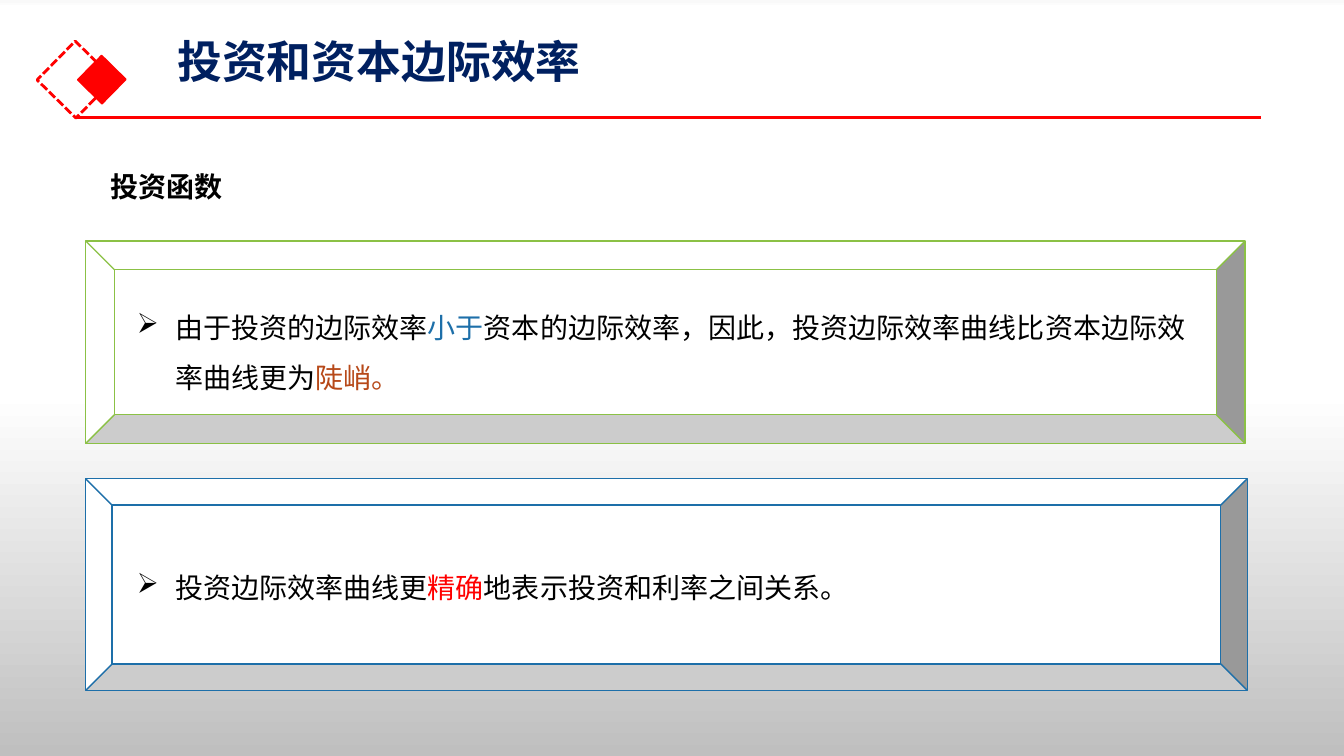
from lxml import etree
from pptx import Presentation
from pptx import util as u
from pptx.dml.color import RGBColor
from pptx.enum import dml, shapes, text
from pptx.oxml.ns import qn

FONT = "Noto Sans CJK SC"
BLACK, WHITE, RED = "000000", "FFFFFF", "FF0000"
NAVY, BLUE, GREEN, RUST = "002060", "1D6FA9", "8BC145", "B74919"


def rgb(color):
    return RGBColor.from_string(color)


def place(left, top, width, height):
    return [u.Inches(length) for length in (left, top, width, height)]


def set_background(slide, stops):
    """Fill the background from top to bottom with (percent, colour) stops."""
    fill = slide.background.fill
    fill.gradient()
    fill.gradient_angle = 270
    stop_list = next(slide.background._cSld.iter(qn("a:gsLst")))
    for stop in list(stop_list):
        stop_list.remove(stop)
    for percent, color in stops:
        stop = etree.SubElement(stop_list, qn("a:gs"), pos=str(percent * 1000))
        etree.SubElement(stop, qn("a:srgbClr"), val=color)


def add_outlined(slide, kind, box, line, weight, fill=None):
    outlined = slide.shapes.add_shape(kind, *place(*box))
    outlined.shadow.inherit = False
    if fill:
        outlined.fill.solid()
        outlined.fill.fore_color.rgb = rgb(fill)
    else:
        outlined.fill.background()
    outlined.line.color.rgb = rgb(line)
    outlined.line.width = u.Pt(weight)
    return outlined


def add_tilted_square(slide, left, top, side, weight, fill=None):
    square = add_outlined(slide, shapes.MSO_SHAPE.RECTANGLE,
                          (left, top, side, side), RED, weight, fill)
    square.rotation = 314.5
    return square


def add_rule(slide, left, right, y):
    rule = slide.shapes.add_connector(shapes.MSO_CONNECTOR.STRAIGHT, u.Inches(left),
                                      u.Inches(y), u.Inches(right), u.Inches(y))
    rule.line.color.rgb = rgb(RED)
    rule.line.width = u.Pt(2.25)
    etree.SubElement(rule._element.spPr, qn("a:effectLst"))


def add_text(slide, box, parts, size=20, bold=False, spacing=1.0, wrap=True):
    """Add one paragraph made of (wording, colour) parts."""
    frame = slide.shapes.add_textbox(*place(*box)).text_frame
    frame.word_wrap = wrap
    paragraph = frame.paragraphs[0]
    paragraph.line_spacing = spacing
    paragraph.font.size = u.Pt(size)
    paragraph.font.bold = bold
    paragraph.font.name = FONT
    etree.SubElement(paragraph.font._element, qn("a:ea"), typeface=FONT)
    for wording, color in parts:
        run = paragraph.add_run()
        run.text = wording
        run.font.color.rgb = rgb(color)
        # East Asian glyphs take their typeface from a:ea on the run
        etree.SubElement(run.font._element, qn("a:ea"), typeface=FONT)
    return frame


def add_arrow_bullet(paragraph):
    properties = paragraph._p.get_or_add_pPr()
    indent = u.Inches(0.38)
    properties.set("marL", str(indent))
    properties.set("indent", str(-indent))
    bullet = etree.Element(qn("a:buChar"), char="➢")
    properties.find(qn("a:defRPr")).addprevious(bullet)


def add_header(slide):
    dashed = add_tilted_square(slide, 0.48, 0.52, 0.54, 2)
    dashed.line.dash_style = dml.MSO_LINE.SQUARE_DOT
    add_tilted_square(slide, 0.84, 0.62, 0.34, 1, RED)
    add_rule(slide, 0.75, 12.51, 1.17)
    title = add_text(slide, (1.66, 0.39, 11.5, 1.08), [("投资和资本边际效率", NAVY)],
                     size=32, bold=True, spacing=0.9)
    title.vertical_anchor = text.MSO_ANCHOR.TOP
    title.margin_top = 0


def main():
    prs = Presentation()
    prs.slide_width, prs.slide_height = u.Inches(13.33), u.Inches(7.5)
    slide = prs.slides.add_slide(prs.slide_layouts[6])
    set_background(slide, [(0, "F9F9F9"), (1, WHITE), (52, WHITE), (100, "BFBFBF")])

    bevel = shapes.MSO_SHAPE.BEVEL
    add_outlined(slide, bevel, (0.85, 4.75, 11.52, 2.1), BLUE, 1, WHITE)
    steepness_panel = add_outlined(slide, bevel, (0.85, 2.39, 11.5, 2.01),
                                   GREEN, 1, WHITE)
    steepness_panel.adjustments[0] = 0.142

    add_header(slide)
    add_text(slide, (1, 1.63, 1.31, 0.44), [("投资函数", BLACK)], bold=True, wrap=False)

    steepness = add_text(slide, (1.26, 2.86, 10.78, 1.05), [
        ("由于投资的边际效率", BLACK),
        ("小于", BLUE),
        ("资本的边际效率，因此，投资边际效率曲线比资本边际效率曲线更为", BLACK),
        ("陡峭。", RUST),
    ], spacing=1.5)
    precision = add_text(slide, (1.26, 5.61, 7.31, 0.44), [
        ("投资边际效率曲线更", BLACK),
        ("精确", RED),
        ("地表示投资和利率之间关系。", BLACK),
    ], wrap=False)
    for statement in (steepness, precision):
        add_arrow_bullet(statement.paragraphs[0])

    prs.save("out.pptx")


if __name__ == "__main__":
    main()
